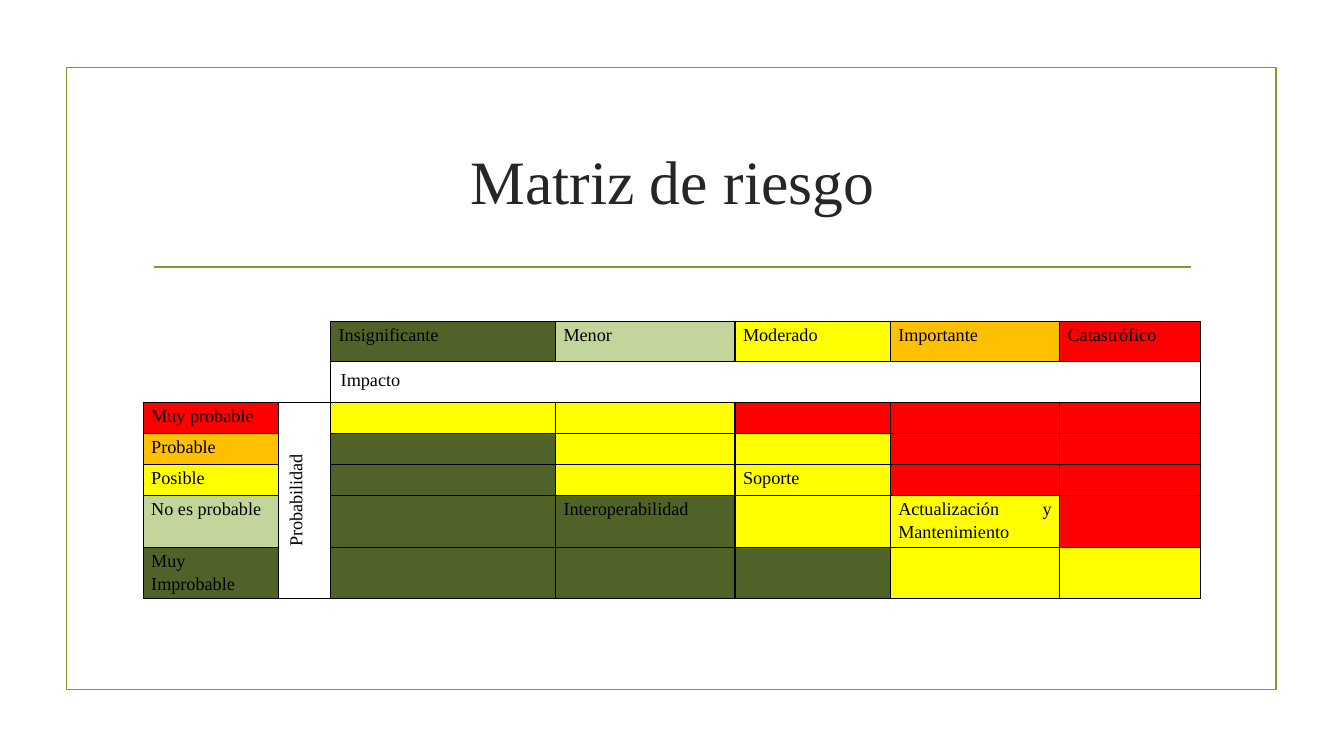
"""Build the risk matrix slide: probability against impact."""
import pptx
import pptx.dml.color
import pptx.enum.shapes
import pptx.enum.text
import pptx.oxml
import pptx.oxml.ns
import pptx.util
from pptx.dml.color import RGBColor
from pptx.util import Inches

FRAME = RGBColor(0x83, 0x99, 0x2A)
TITLE = RGBColor(0x26, 0x26, 0x26)
BLACK = RGBColor(0x00, 0x00, 0x00)
FILLS = {
    "D": RGBColor(0x4F, 0x62, 0x28),
    "L": RGBColor(0xC2, 0xD6, 0x9B),
    "Y": RGBColor(0xFF, 0xFF, 0x00),
    "O": RGBColor(0xFF, 0xC0, 0x00),
    "R": RGBColor(0xFF, 0x00, 0x00),
}
FONT = "Times New Roman"
COLUMN_WIDTHS = [1.34, 0.52, 2.23, 1.78, 1.54, 1.68, 1.4]
ROW_HEIGHTS = [0.4, 0.4, 0.31, 0.31, 0.31, 0.43, 0.51]
FILL_ROWS = ["  DLYOR", "       ", "R YYRRR", "O DYYRR", "Y DYYRR", "L DDYYR", "D DDDYY"]
LABELS = {
    (0, 2): "Insignificante",
    (0, 3): "Menor",
    (0, 4): "Moderado",
    (0, 5): "Importante",
    (0, 6): "Catastrófico",
    (1, 2): "Impacto",
    (2, 0): "Muy probable",
    (2, 1): "Probabilidad",
    (3, 0): "Probable",
    (4, 0): "Posible",
    (4, 4): "Soporte",
    (5, 0): "No es probable",
    (5, 3): "Interoperabilidad",
    (5, 5): "Actualización y Mantenimiento",
    (6, 0): "Muy Improbable",
}
AXIS_TITLES = [(1, 2), (2, 1)]


def set_font(para, size, color):
    para.font.name = FONT
    para.font.size = pptx.util.Pt(size)
    para.font.color.rgb = color


def add_borders(cell):
    properties = cell._tc.get_or_add_tcPr()
    for position, side in enumerate(["lnL", "lnR", "lnT", "lnB"]):
        border = pptx.oxml.parse_xml(
            f'<a:{side} {pptx.oxml.ns.nsdecls("a")} w="12700"><a:solidFill>'
            f'<a:srgbClr val="{BLACK}"/></a:solidFill></a:{side}>'
        )
        properties.insert(position, border)


deck = pptx.Presentation()
deck.slide_width = Inches(13.33)
deck.slide_height = Inches(7.5)
slide = deck.slides.add_slide(deck.slide_layouts[6])

frame = slide.shapes.add_shape(
    pptx.enum.shapes.MSO_SHAPE.RECTANGLE, Inches(0.66), Inches(0.67), Inches(12), Inches(6.17)
)
frame.shadow.inherit = False
frame.fill.background()
frame.line.color.rgb = FRAME
frame.line.width = pptx.util.Pt(1.25)

rule = slide.shapes.add_connector(
    pptx.enum.shapes.MSO_CONNECTOR.STRAIGHT, Inches(1.53), Inches(2.65), Inches(11.81), Inches(2.65)
)
rule.line.color.rgb = FRAME
rule.line.width = pptx.util.Pt(1.25)
rule._element.spPr.append(pptx.oxml.parse_xml(f'<a:effectLst {pptx.oxml.ns.nsdecls("a")}/>'))

title = slide.shapes.add_textbox(Inches(1.42), Inches(1.07), Inches(10.5), Inches(1.43))
title.text_frame.word_wrap = True
title.text_frame.vertical_anchor = pptx.enum.text.MSO_ANCHOR.MIDDLE
para = title.text_frame.paragraphs[0]
para.text = "Matriz de riesgo"
para.alignment = pptx.enum.text.PP_ALIGN.CENTER
set_font(para, 44, TITLE)

matrix = slide.shapes.add_table(
    len(ROW_HEIGHTS), len(COLUMN_WIDTHS), Inches(1.42), Inches(3.19), Inches(10.49), Inches(2.67)
).table
matrix.first_row = False
matrix.horz_banding = False
for column, width in zip(matrix.columns, COLUMN_WIDTHS):
    column.width = Inches(width)
for row, height in zip(matrix.rows, ROW_HEIGHTS):
    row.height = Inches(height)

for row_index, fill_row in enumerate(FILL_ROWS):
    for column_index, fill_key in enumerate(fill_row):
        place = (row_index, column_index)
        cell = matrix.cell(*place)
        if fill_key in FILLS:
            cell.fill.solid()
            cell.fill.fore_color.rgb = FILLS[fill_key]
        else:
            cell.fill.background()
        if row_index > 1 or column_index > 1:
            add_borders(cell)
        is_axis = place in AXIS_TITLES
        cell.margin_left = cell.margin_right = Inches(0.1 if is_axis else 0.08)
        cell.margin_top = Inches(0.05 if is_axis else 0.01)
        cell.margin_bottom = Inches(0.05 if is_axis else 0)
        para = cell.text_frame.paragraphs[0]
        set_font(para, 13, BLACK)
        if place in LABELS:
            para.text = LABELS[place]
            para.alignment = pptx.enum.text.PP_ALIGN.JUSTIFY
            para.line_spacing = 1.15
            para.space_after = pptx.util.Pt(10)

for row_index in (0, 1):
    matrix.cell(row_index, 0).merge(matrix.cell(row_index, 1))
matrix.cell(1, 2).merge(matrix.cell(1, 6))
probability = matrix.cell(2, 1)
probability.merge(matrix.cell(6, 1))
probability._tc.get_or_add_tcPr().set("vert", "vert270")
probability.text_frame.paragraphs[0].alignment = pptx.enum.text.PP_ALIGN.CENTER

deck.save("out.pptx")
